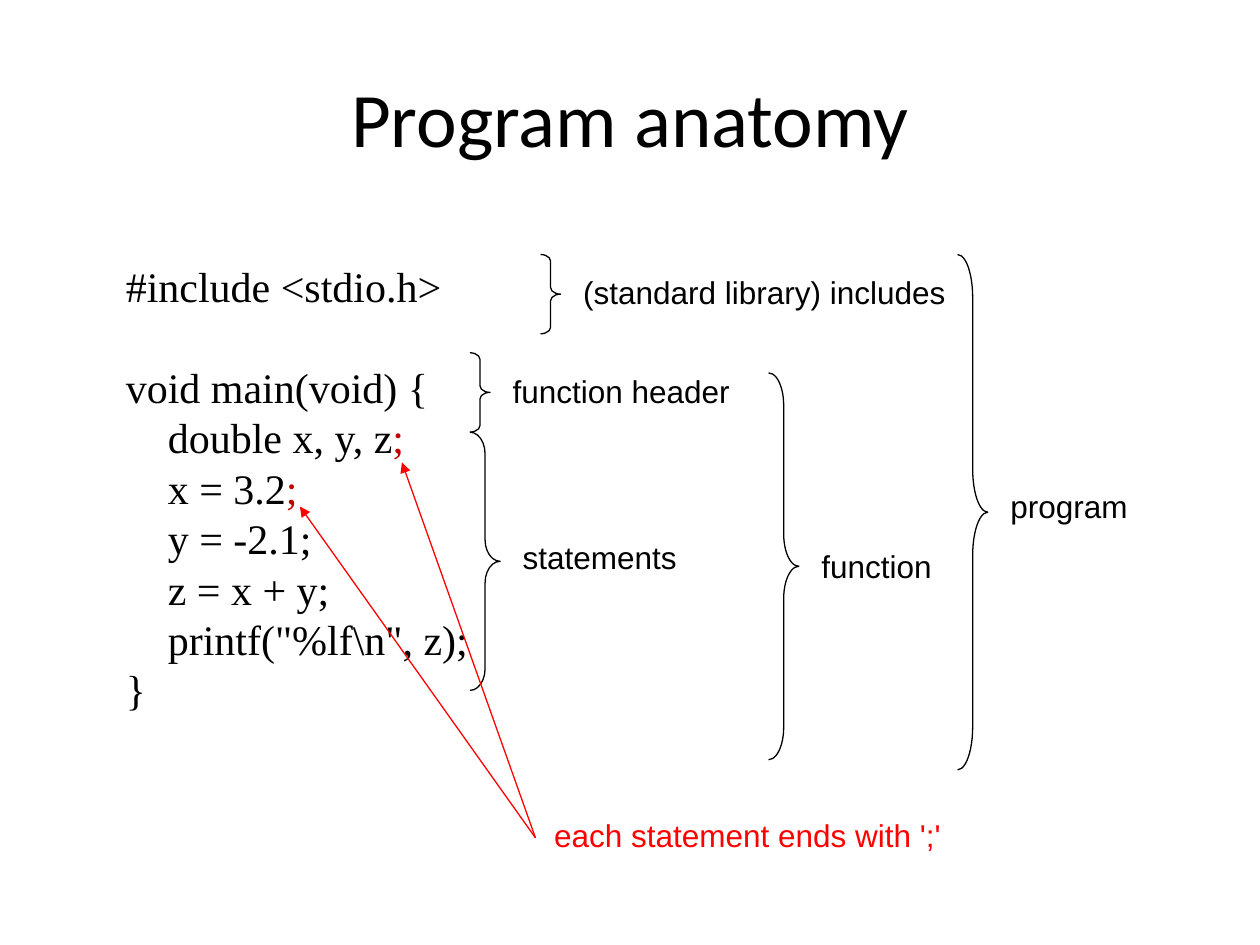
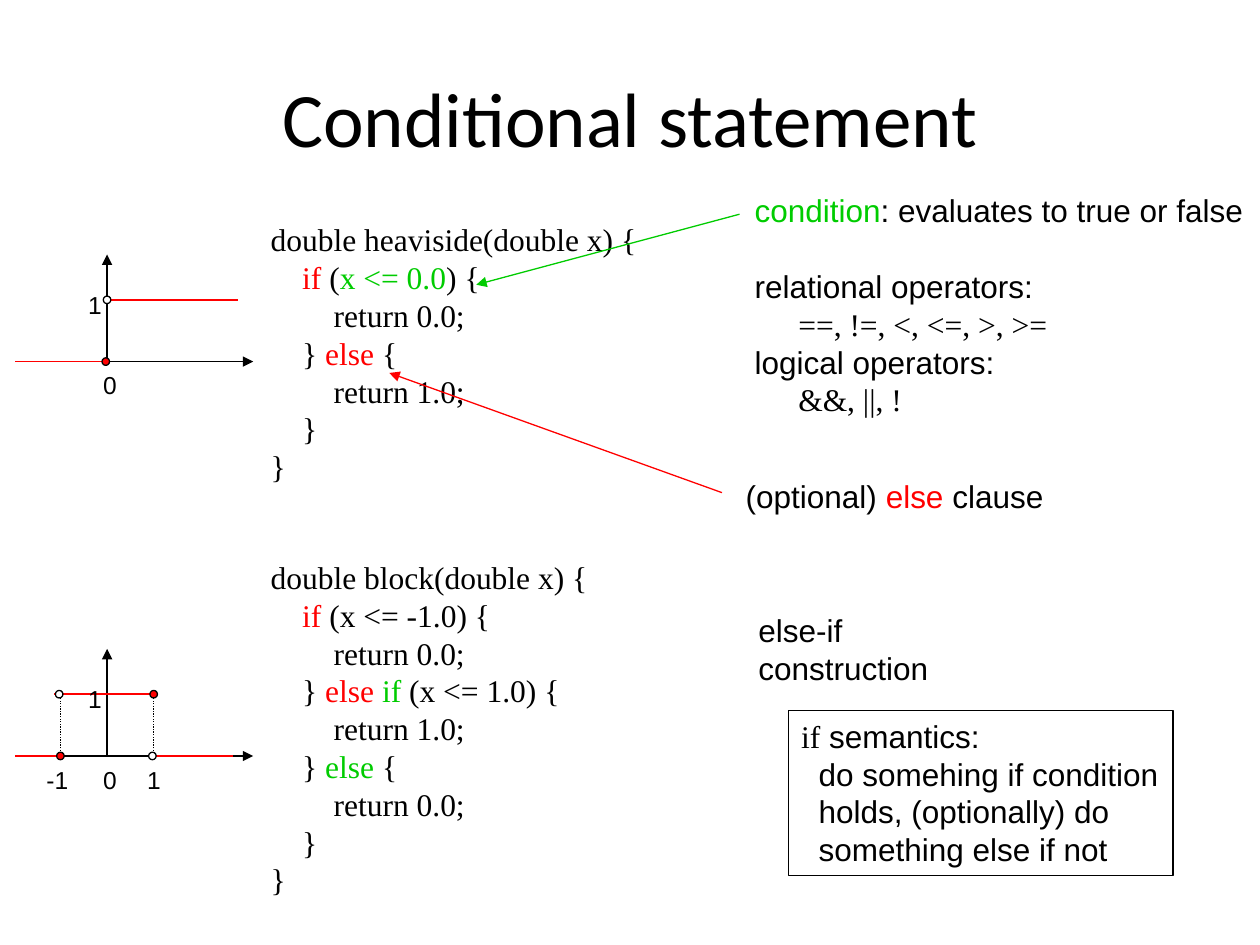
from lxml import etree
from pptx import Presentation
from pptx.dml.color import RGBColor
from pptx.enum import dml, shapes, text
from pptx.oxml import ns
from pptx.util import Inches, Pt

COLORS = {"black": "000000", "white": "FFFFFF", "red": "FF0000",
          "green": "00CC00", "dark red": "C00000"}
SANS, SERIF, TITLE = "Arial", "Times New Roman", "Calibri"


def rgb(name):
    return RGBColor.from_string(COLORS[name])


class Deck:
    """Holds the presentation, its style and the current slide."""

    def __init__(self):
        self.prs = Presentation()
        self.prs.slide_width, self.prs.slide_height = Inches(10), Inches(7.5)
        self.s = None

    def slide(self, title):
        self.s = self.prs.slides.add_slide(self.prs.slide_layouts[5])
        sp = self.s.shapes.title
        sp.left, sp.top, sp.width, sp.height = map(Inches, (0.5, 0.3, 9, 1.25))
        tf = sp.text_frame
        tf.vertical_anchor = text.MSO_ANCHOR.MIDDLE
        p = tf.paragraphs[0]
        p.alignment = text.PP_ALIGN.CENTER
        self.run(p, title, 44, TITLE)

    def run(self, p, words, size, font, color="black"):
        r = p.add_run()
        r.text = words
        r.font.size, r.font.name = Pt(size), font
        r.font.color.rgb = rgb(color)

    def text(self, x, y, w, h, lines, size=18, font=SANS, step=None, gaps=()):
        """Write lines of (level, run, ...); a run is words or (words, colour, font).

        Each level is indented by step points; a line is skipped before each index in gaps.
        """
        sp = self.s.shapes.add_textbox(*map(Inches, (x, y, w, h)))
        tf = sp.text_frame
        tf.word_wrap = False
        tf.auto_size = text.MSO_AUTO_SIZE.SHAPE_TO_FIT_TEXT
        for i, (level, *runs) in enumerate(lines):
            p = tf.add_paragraph() if i else tf.paragraphs[0]
            if level:
                pPr = p._p.get_or_add_pPr()
                pPr.set("marL", str(Pt(level * (step or size))))
                pPr.set("indent", "0")
            if i in gaps:
                p.space_before = Pt(1.2 * size)
            for part in runs:
                words, color, face = ((part,) if isinstance(part, str) else part) + \
                    (("black", font) if isinstance(part, str) else (font,)[:3 - len(part)])
                self.run(p, words, size, face, color)
        return sp

    def label(self, x, y, w, words, color="black", size=18):
        return self.text(x, y, w, 0.4 if size == 18 else 0.33, [(0, (words, color))], size)

    def code(self, x, y, w, h, lines, size=18, gaps=()):
        return self.text(x, y, w, h, lines, size, SERIF, gaps=gaps)

    def line(self, start, end, color="black", width=0.75, arrow=False, dotted=False):
        c = self.s.shapes.add_connector(shapes.MSO_CONNECTOR.STRAIGHT,
                                        *map(Inches, (*start, *end)))
        c.line.color.rgb, c.line.width = rgb(color), Pt(width)
        if dotted:
            c.line.dash_style = dml.MSO_LINE.ROUND_DOT
        if arrow:
            etree.SubElement(c.line._get_or_add_ln(), ns.qn("a:tailEnd"), type="triangle")
        etree.SubElement(c._element.spPr, ns.qn("a:effectLst"))

    def arrow(self, start, end, color="black"):
        self.line(start, end, color, arrow=True)

    def shape(self, kind, x, y, w, h, fill=None):
        sp = self.s.shapes.add_shape(kind, *map(Inches, (x, y, w, h)))
        sp.shadow.inherit = False
        sp.line.color.rgb, sp.line.width = rgb("black"), Pt(0.75)
        if fill:
            sp.fill.solid()
            sp.fill.fore_color.rgb = rgb(fill)
        else:
            sp.fill.background()
        return sp

    def brace(self, x, y, w, h, words, label_y, label_w):
        sp = self.shape(shapes.MSO_SHAPE.RIGHT_BRACE, x, y, w, h)
        sp.adjustments[0] = h / w / 12
        self.label(x + w + 0.08, label_y, label_w, words)

    def dot(self, x, y, fill):
        self.shape(shapes.MSO_SHAPE.OVAL, x - 0.03, y - 0.03, 0.06, 0.06, fill)

    def plot(self, y, segments, dots, ticks, drops=()):
        """Draw a step function on axes that cross at height y; heights are 0 or 1."""
        level = (y, y - 0.49)
        for x in drops:
            self.line((x, y), (x, level[1]), dotted=True)
        self.arrow((0.12, y), (2.01, y))
        self.arrow((0.85, y), (0.85, y - 0.85))
        for x1, x2, value in segments:
            self.line((x1, level[value]), (x2, level[value]), "red", 1)
        for x, value, fill in dots:
            self.dot(x, level[value], fill)
        self.label(0.6, y - 0.62, 0.31, "1", size=14)
        for x, w, words in ticks:
            self.label(x, y + 0.02, w, words, size=14)


def program_anatomy(deck):
    deck.slide("Program anatomy")
    end = (";", "dark red")
    deck.code(0.9, 2.02, 2.94, 3.74, [
        (0, "#include <stdio.h>"),
        (0, "void main(void) {"),
        (1, "double x, y, z", end),
        (1, "x = 3.2", end),
        (1, "y = -2.1;"),
        (1, "z = x + y;"),
        (1, 'printf("%lf\\n", z);'),
        (0, "}")], 24, gaps=[1])
    for brace in [
            (6.1, 2.96, 0.24, 3.07, "function", 4.29, 1.09),
            (4.29, 2.02, 0.16, 0.63, "(standard library) includes", 2.12, 3.08),
            (7.6, 2.02, 0.24, 4.09, "program", 3.82, 1.13),
            (3.73, 3.43, 0.24, 2.05, "statements", 4.22, 1.42),
            (3.73, 2.8, 0.16, 0.63, "function header", 2.9, 1.92)]:
        deck.brace(*brace)
    deck.label(4.3, 6.43, 3.3, "each statement ends with ';'", "red")
    for semicolon in [(3.19, 3.67), (2.38, 4.02)]:
        deck.arrow((4.25, 6.65), semicolon, "red")


def conditional_statement(deck):
    deck.slide("Conditional statement")
    if_, else_ = ("if", "red"), ("else", "red")
    deck.code(2.05, 1.7, 3.11, 2.2, [
        (0, "double heaviside(double x) {"),
        (1, if_, " (", ("x <= 0.0", "green"), ") {"),
        (2, "return 0.0;"),
        (1, "} ", else_, " {"),
        (2, "return 1.0;"),
        (1, "}"),
        (0, "}")])
    zero = (0.72, 0.31, "0")
    deck.plot(2.87, [(0.85, 1.89, 1), (0.85, 0.12, 0)],
              [(0.85, 1, "white"), (0.84, 0, "red")], [zero])

    deck.arrow((5.87, 1.7), (3.78, 2.26), "green")
    deck.text(5.89, 1.47, 4.08, 1.9, [
        (0, ("condition", "green"), ": evaluates to true or false"),
        (0, "relational operators:"),
        (1, ("==, !=, <, <=, >, >=", "black", SERIF)),
        (0, "logical operators:"),
        (1, ("&&, ||, !", "black", SERIF))], step=25, gaps=[1])
    deck.text(5.82, 3.74, 2.56, 0.4, [(0, "(optional) ", else_, " clause")])
    deck.arrow((5.73, 3.91), (3.09, 2.96), "red")

    deck.code(2.05, 4.38, 2.72, 2.8, [
        (0, "double block(double x) {"),
        (1, if_, " (x <= -1.0) {"),
        (2, "return 0.0;"),
        (1, "} ", ("else ", "red"), ("if", "green"), " (x <= 1.0) {"),
        (2, "return 1.0;"),
        (1, "} ", ("else", "green"), " {"),
        (2, "return 0.0;"),
        (1, "}"),
        (0, "}")])
    deck.plot(6, [(0.43, 1.22, 1), (0.51, 0.12, 0), (1.85, 1.22, 0)],
              [(0.48, 0, "red"), (1.21, 0, "white"), (0.47, 1, "white"), (1.22, 1, "red")],
              [zero, (1.07, 0.31, "1"), (0.27, 0.37, "-1")], drops=[0.48, 1.22])

    deck.label(5.92, 4.8, 2.28, "else-if construction")
    sp = deck.text(6.26, 5.64, 3.05, 1.31, [
        (0, ("if", "black", SERIF), " semantics:"),
        (1, "do somehing if condition"),
        (1, "holds, (optionally) do"),
        (1, "something else if not")], step=10)
    sp.line.color.rgb, sp.line.width = rgb("black"), Pt(0.75)


def main():
    deck = Deck()
    program_anatomy(deck)
    conditional_statement(deck)
    deck.prs.save("out.pptx")


if __name__ == "__main__":
    main()
